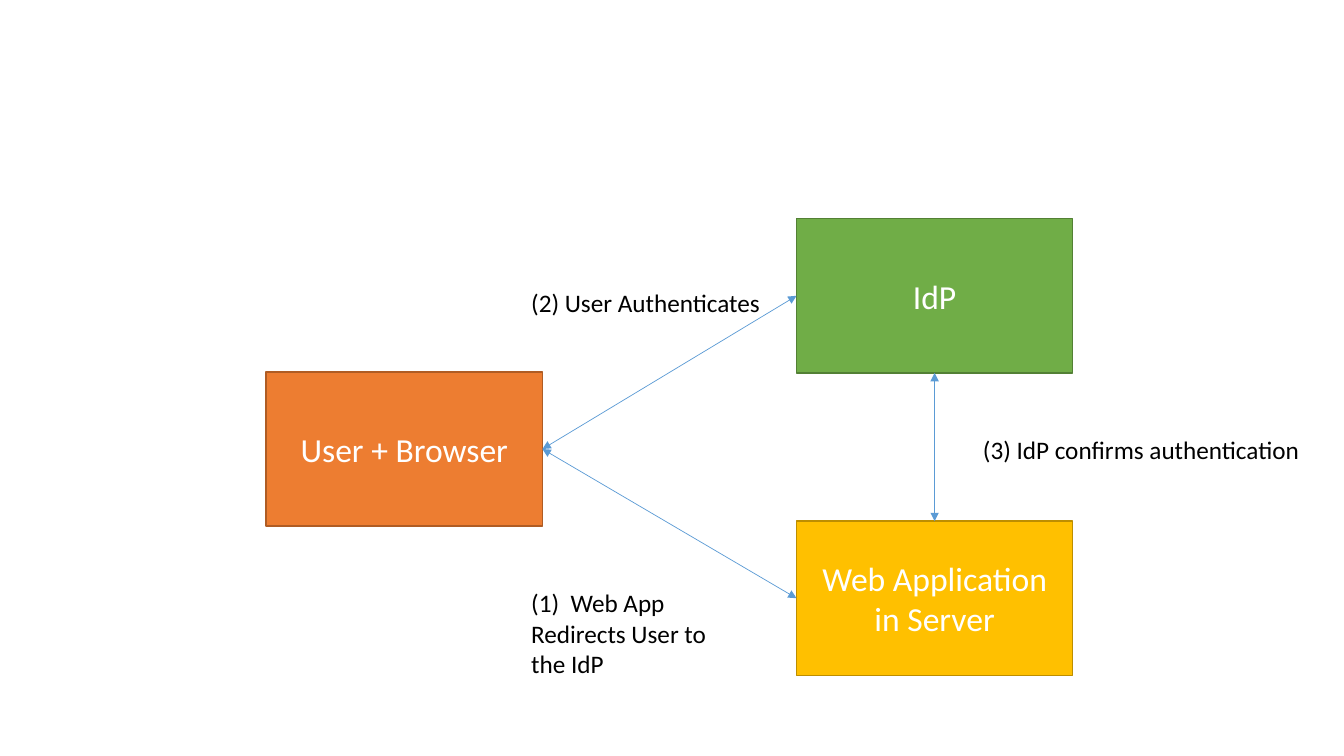
from dataclasses import dataclass

from lxml.etree import SubElement
from pptx import Presentation
from pptx.dml.color import RGBColor
from pptx.enum.shapes import MSO_CONNECTOR, MSO_SHAPE
from pptx.enum.text import MSO_ANCHOR, MSO_AUTO_SIZE, PP_ALIGN
from pptx.oxml.ns import qn
from pptx.shapes.autoshape import Shape
from pptx.slide import Slide
from pptx.text.text import TextFrame
from pptx.util import Inches, Pt

FONT = "Calibri"
WHITE = RGBColor(0xFF, 0xFF, 0xFF)
BLACK = RGBColor(0x00, 0x00, 0x00)
ORANGE = RGBColor(0xED, 0x7D, 0x31)
ORANGE_EDGE = RGBColor(0xAF, 0x5C, 0x24)
GOLD = RGBColor(0xFF, 0xC0, 0x00)
GOLD_EDGE = RGBColor(0xBD, 0x8E, 0x00)
GREEN = RGBColor(0x70, 0xAD, 0x47)
GREEN_EDGE = RGBColor(0x53, 0x80, 0x35)
BLUE = RGBColor(0x5B, 0x9B, 0xD5)

BOX_W, BOX_H = 2.74, 1.53
TOP, LEFT, BOTTOM, RIGHT = range(4)  # connection sites of a rectangle


@dataclass
class Party:
    name: str
    x: float
    y: float
    fill: RGBColor
    edge: RGBColor


@dataclass
class Link:
    start: str
    start_site: int
    end: str
    end_site: int


@dataclass
class Step:
    text: str
    x: float
    y: float
    w: float
    h: float
    wrap: bool = False


USER, SERVER, IDP = "User + Browser", "Web Application in Server", "IdP"

PARTIES = [
    Party(USER, 2.64, 3.69, ORANGE, ORANGE_EDGE),
    Party(SERVER, 7.9, 5.17, GOLD, GOLD_EDGE),
    Party(IDP, 7.9, 2.17, GREEN, GREEN_EDGE),
]
LINKS = [
    Link(USER, RIGHT, SERVER, LEFT),
    Link(USER, RIGHT, IDP, LEFT),
    Link(SERVER, TOP, IDP, BOTTOM),
]
STEPS = [
    Step("(3) IdP confirms authentication", 9.65, 4.26, 3.38, 0.4),
    Step("(2) User Authenticates", 5.17, 2.8, 2.56, 0.4),
    Step("(1)  Web App Redirects User to the IdP", 5.17, 5.78, 2.17, 1.01, True),
]


def add_text(tf: TextFrame, text: str, size: int, color: RGBColor,
             align: PP_ALIGN) -> None:
    p = tf.paragraphs[0]
    p.alignment = align
    r = p.add_run()
    r.text = text
    r.font.name = FONT
    r.font.size = Pt(size)
    r.font.color.rgb = color


def add_party(s: Slide, party: Party) -> Shape:
    sp = s.shapes.add_shape(MSO_SHAPE.RECTANGLE, Inches(party.x), Inches(party.y),
                            Inches(BOX_W), Inches(BOX_H))
    sp.shadow.inherit = False
    sp.fill.solid()
    sp.fill.fore_color.rgb = party.fill
    sp.line.color.rgb = party.edge
    sp.line.width = Pt(1)
    tf = sp.text_frame
    tf.word_wrap = True
    tf.vertical_anchor = MSO_ANCHOR.MIDDLE
    add_text(tf, party.name, 24, WHITE, PP_ALIGN.CENTER)
    return sp


def add_link(s: Slide, link: Link, boxes: dict[str, Shape]) -> None:
    cxn = s.shapes.add_connector(MSO_CONNECTOR.STRAIGHT, 0, 0, 0, 0)
    cxn.begin_connect(boxes[link.start], link.start_site)
    cxn.end_connect(boxes[link.end], link.end_site)
    cxn.line.color.rgb = BLUE
    cxn.line.width = Pt(0.5)
    # Arrowheads at both ends, no shadow
    ln = cxn.line._get_or_add_ln()
    for end in ("a:headEnd", "a:tailEnd"):
        SubElement(ln, qn(end), type="triangle")
    SubElement(cxn._element.spPr, qn("a:effectLst"))


def add_step(s: Slide, step: Step) -> None:
    sp = s.shapes.add_textbox(Inches(step.x), Inches(step.y),
                              Inches(step.w), Inches(step.h))
    tf = sp.text_frame
    tf.word_wrap = step.wrap
    tf.auto_size = MSO_AUTO_SIZE.SHAPE_TO_FIT_TEXT
    add_text(tf, step.text, 18, BLACK, PP_ALIGN.LEFT)


def main() -> None:
    prs = Presentation()
    prs.slide_width, prs.slide_height = Inches(13.33), Inches(7.5)
    s = prs.slides.add_slide(prs.slide_layouts[6])

    # Parties, the links between them, and the numbered steps
    boxes = {party.name: add_party(s, party) for party in PARTIES}
    for link in LINKS:
        add_link(s, link, boxes)
    for step in STEPS:
        add_step(s, step)

    prs.save("out.pptx")


if __name__ == "__main__":
    main()
